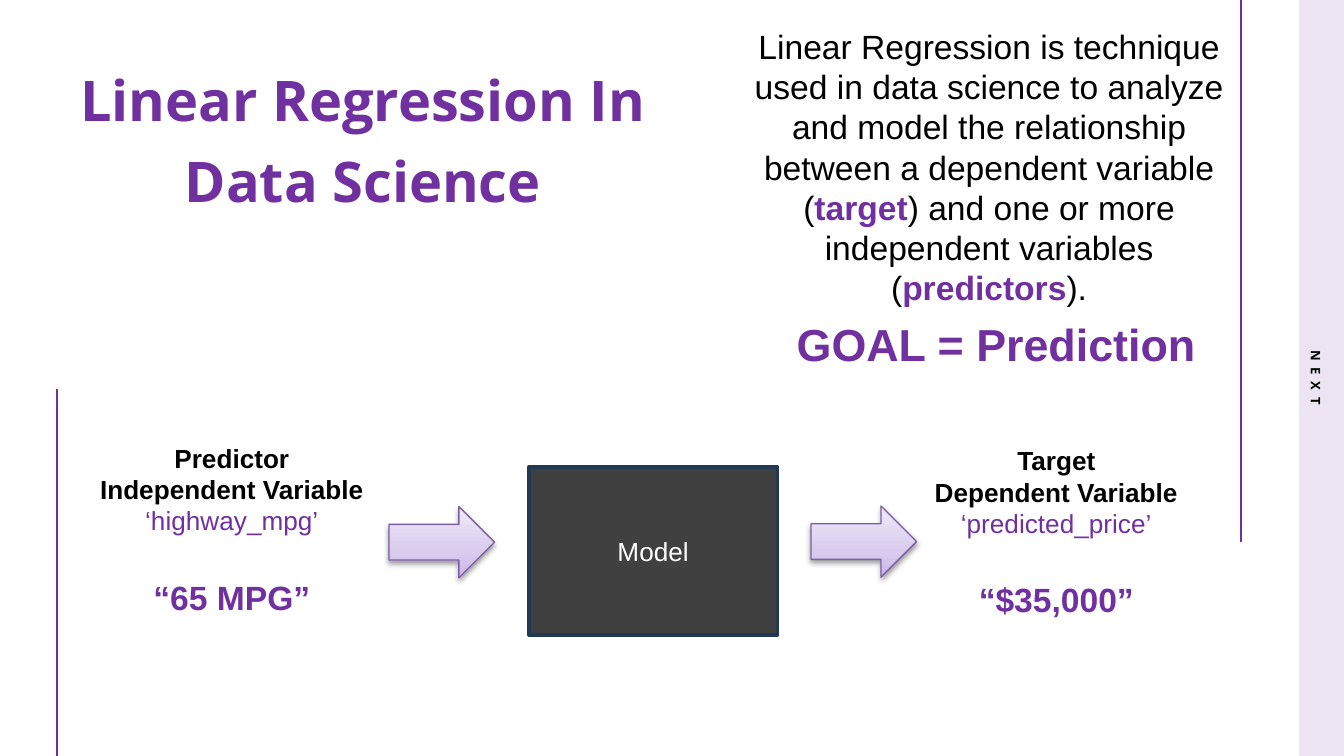
"""Builds a slide that introduces linear regression and its goal, prediction."""
import lxml.etree
import pptx
import pptx.dml.color
import pptx.enum.shapes
import pptx.enum.text
import pptx.oxml
import pptx.oxml.ns
import pptx.util

RGBColor = pptx.dml.color.RGBColor
PURPLE = RGBColor(0x70, 0x30, 0xA0)
LAVENDER = RGBColor(0xEC, 0xE4, 0xF2)
BLACK = RGBColor(0, 0, 0)
WHITE = RGBColor(255, 255, 255)
CHARCOAL = RGBColor(0x40, 0x40, 0x40)
NAVY = RGBColor(0x23, 0x39, 0x53)
ARROW_EDGE = RGBColor(0x7D, 0x60, 0xA0)
ARROW_STOPS = [(0, "C9B5E8"), (35, "D8CBEE"), (100, "F0EAF9")]

CELL = pptx.util.Inches(0.1)
COLUMNS, ROWS = 100, 56.25

TITLE = "Linear Regression In Data Science"
DEFINITION = [
    ("Linear Regression is technique used in data science to analyze and model "
     "the relationship between a dependent variable (", False),
    ("target", True),
    (") and one or more independent variables (", False),
    ("predictors", True),
    (").", False),
]
GOAL = "GOAL = Prediction"
NEXT = "N E X T"
VARIABLES = [
    ((6.35, 32.4, 21.8, 14.1),
     ["Predictor", "Independent Variable", "‘highway_mpg’", "“65 MPG”"]),
    ((68.45, 32.6, 20.3, 14.1),
     ["Target", "Dependent Variable", "‘predicted_price’", "“$35,000”"]),
]
ARROWS = [(28.95, 37.7, 7.85, 5.3), (60.35, 37.65, 7.85, 5.3)]
RULES = [(92.35, 0, 40.3), (4.25, 28.95, ROWS)]
MODEL = (39.35, 34.75, 18.5, 12.5)
BAND = (96.65, 0, 3.35, ROWS)


def grid(*cells):
    """Turn grid cells into lengths."""
    return [round(cell * CELL) for cell in cells]


def write(paragraph, text, size=14, color=BLACK, bold=False, font="Arial",
          align=pptx.enum.text.PP_ALIGN.CENTER, spacing=None, before=None):
    """Add a formatted run to a paragraph and return it."""
    paragraph.alignment = align
    if spacing:
        paragraph.line_spacing = spacing
    if before:
        paragraph.space_before = pptx.util.Pt(before)
    run = paragraph.add_run()
    run.text = text
    run.font.size = pptx.util.Pt(size)
    run.font.name = font
    run.font.bold = bold
    run.font.color.rgb = color
    return run


def prepare(frame, wrap=True, margins=True):
    """Set wrapping, growth and margins of a text frame and return its first paragraph."""
    frame.word_wrap = wrap
    frame.auto_size = pptx.enum.text.MSO_AUTO_SIZE.SHAPE_TO_FIT_TEXT
    frame.vertical_anchor = pptx.enum.text.MSO_ANCHOR.TOP
    if not margins:
        frame.margin_left = frame.margin_right = frame.margin_top = frame.margin_bottom = 0
    return frame.paragraphs[0]


def add_shape(slide, kind, place, fill=None, line=None, width=0.75):
    """Add a preset shape without shadow."""
    shape = slide.shapes.add_shape(kind, *grid(*place))
    shape.shadow.inherit = False
    if fill is not None:
        shape.fill.solid()
        shape.fill.fore_color.rgb = fill
    if line is None:
        shape.line.fill.background()
    else:
        shape.line.color.rgb = line
        shape.line.width = pptx.util.Pt(width)
    return shape


def add_arrow(slide, place):
    """Add a block arrow with a gradient and a soft shadow."""
    shape = add_shape(slide, pptx.enum.shapes.MSO_SHAPE.RIGHT_ARROW, place, line=ARROW_EDGE)
    namespace = pptx.oxml.ns.nsdecls("a")
    stops = "".join(
        f'<a:gs pos="{position * 1000}"><a:srgbClr val="{color}"/></a:gs>'
        for position, color in ARROW_STOPS)
    properties = shape.element.spPr
    properties.find(pptx.oxml.ns.qn("a:prstGeom")).addnext(pptx.oxml.parse_xml(
        f'<a:gradFill {namespace} rotWithShape="1"><a:gsLst>{stops}</a:gsLst>'
        '<a:lin ang="16200000" scaled="0"/></a:gradFill>'))
    properties.find(pptx.oxml.ns.qn("a:effectLst")).append(pptx.oxml.parse_xml(
        f'<a:outerShdw {namespace} blurRad="{pptx.util.Pt(3.1)}" dist="{pptx.util.Pt(1.6)}" '
        'dir="5400000" rotWithShape="0"><a:srgbClr val="000000">'
        '<a:alpha val="38000"/></a:srgbClr></a:outerShdw>'))


def add_rule(slide, column, top, bottom):
    """Add a thin vertical line."""
    rule = slide.shapes.add_connector(
        pptx.enum.shapes.MSO_CONNECTOR.STRAIGHT, *grid(column, top, column, bottom))
    rule.line.color.rgb = PURPLE
    rule.line.width = pptx.util.Pt(0.75)
    lxml.etree.SubElement(rule.element.spPr, pptx.oxml.ns.qn("a:effectLst"))


def add_variable(slide, place, lines):
    """Add the caption of a variable: role, kind, column name and value."""
    frame = slide.shapes.add_textbox(*grid(*place)).text_frame
    role, kind, name, value = lines
    write(prepare(frame, wrap=False), role, bold=True)
    write(frame.add_paragraph(), kind, bold=True)
    write(frame.add_paragraph(), name, color=PURPLE)
    write(frame.add_paragraph(), value, size=18, color=PURPLE, bold=True, before=21.6)


def main():
    """Build and save the presentation."""
    presentation = pptx.Presentation()
    presentation.slide_width, presentation.slide_height = grid(COLUMNS, ROWS)
    slide = presentation.slides.add_slide(presentation.slide_layouts[5])

    title = slide.shapes.title
    title.left, title.top, title.width, title.height = grid(3.2, 3.9, 47.6, 12.1)
    write(prepare(title.text_frame, margins=False), TITLE, size=30, color=PURPLE,
          bold=True, font="Open Sans", spacing=1.2)

    for rule in RULES:
        add_rule(slide, *rule)
    add_shape(slide, pptx.enum.shapes.MSO_SHAPE.RECTANGLE, BAND, fill=LAVENDER)

    label = slide.shapes.add_textbox(*grid(94.4, 27.5, 8.4, 1.2))
    label.rotation = 90
    run = write(prepare(label.text_frame, margins=False), NEXT, size=7, bold=True,
                font="Open Sans", spacing=1.6)
    run.font._element.set("spc", "90")

    definition = slide.shapes.add_textbox(*grid(54.8, 1.4, 37.6, 26.9))
    paragraph = prepare(definition.text_frame)
    for text, key in DEFINITION:
        write(paragraph, text, size=18, color=PURPLE if key else BLACK, bold=key)

    goal = slide.shapes.add_textbox(*grid(58.3, 23.1, 32, 7.4))
    write(prepare(goal.text_frame, wrap=False), GOAL, size=24, color=PURPLE, bold=True,
          align=pptx.enum.text.PP_ALIGN.LEFT)

    for place, lines in VARIABLES:
        add_variable(slide, place, lines)
    for place in ARROWS:
        add_arrow(slide, place)
    model = add_shape(slide, pptx.enum.shapes.MSO_SHAPE.RECTANGLE, MODEL,
                      fill=CHARCOAL, line=NAVY, width=2)
    write(model.text_frame.paragraphs[0], "Model", color=WHITE)

    presentation.save("out.pptx")


if __name__ == "__main__":
    main()
